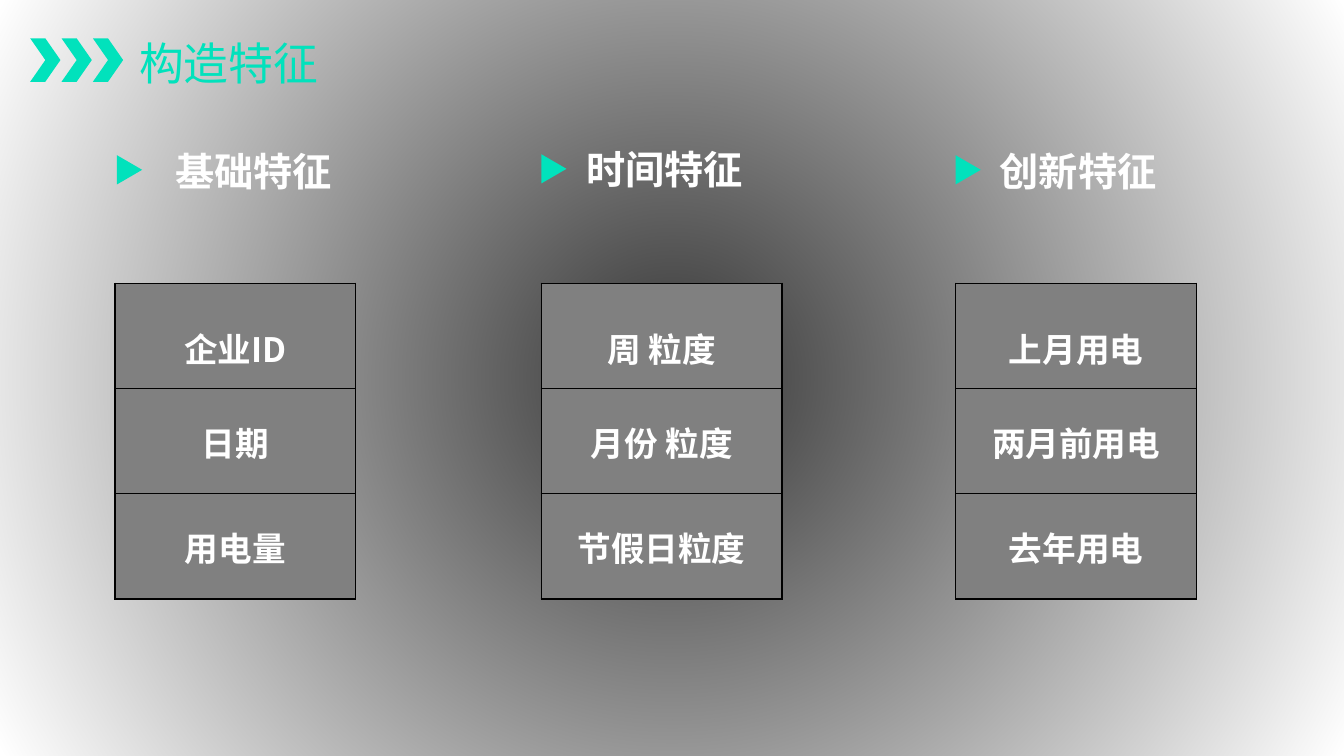
from dataclasses import dataclass

from lxml import etree
from pptx import Presentation
from pptx.dml.color import RGBColor
from pptx.enum import shapes, text
from pptx.oxml import parse_xml
from pptx.oxml.ns import nsdecls, qn
from pptx.util import Pt

COLORS = {"accent": "01E2BC", "cell": "808080", "white": "FFFFFF", "black": "000000"}
SANS = "Noto Sans CJK SC"
SLIDE_WIDTH, SLIDE_HEIGHT = 960, 540
TABLE_TOP, TABLE_WIDTH, ROW_HEIGHT = 202.3, 172, 75.2
MARKER_WIDTH, MARKER_HEIGHT = 20.9, 18
BORDER_SIDES = ("lnL", "lnR", "lnT", "lnB")


@dataclass(frozen=True)
class FeatureColumn:
    heading: str
    heading_left: float
    heading_top: float
    heading_font: str
    marker_left: float
    marker_top: float
    table_left: float
    features: tuple[str, ...]


COLUMNS = (
    FeatureColumn("基础特征", 69.8, 101.5, "Quicksand", 82.1, 112.3, 82.1,
                  ("企业ID", "日期", "用电量")),
    FeatureColumn("时间特征", 363.6, 100, "Quicksand", 385.2, 111.6, 386.6,
                  ("周 粒度", "月份 粒度", "节假日粒度")),
    FeatureColumn("创新特征", 658.8, 101.5, SANS, 681.1, 112.3, 682.6,
                  ("上月用电", "两月前用电", "去年用电")),
)


def write_text(frame, content: str, *, size: float, font: str = SANS,
               color: str = "white", bold: bool = False,
               align=text.PP_ALIGN.CENTER, line_spacing: float = 1.0) -> None:
    para = frame.paragraphs[0]
    para.alignment = align
    para.line_spacing = line_spacing
    span = para.add_run()
    span.text = content
    span.font.size = Pt(size)
    span.font.bold = bold
    span.font.color.rgb = RGBColor.from_string(COLORS[color])
    span.font.name = font
    latin = span.font._element.find(qn("a:latin"))
    east_asian = etree.Element(qn("a:ea"), typeface=font)
    latin.addnext(east_asian)


def add_plain_shape(page, kind, left: float, top: float, width: float, height: float):
    shape = page.shapes.add_shape(kind, Pt(left), Pt(top), Pt(width), Pt(height))
    shape.shadow.inherit = False
    shape.line.fill.background()
    return shape


def add_accent_shape(page, kind, left: float, top: float, width: float, height: float):
    shape = add_plain_shape(page, kind, left, top, width, height)
    shape.fill.solid()
    shape.fill.fore_color.rgb = RGBColor.from_string(COLORS["accent"])
    return shape


def add_backdrop(page) -> None:
    backdrop = add_plain_shape(page, shapes.MSO_SHAPE.RECTANGLE, 0, 0,
                               SLIDE_WIDTH, SLIDE_HEIGHT)
    stops = "".join(
        f'<a:gs pos="{position}"><a:srgbClr val="{COLORS["black"]}">'
        f'<a:alpha val="{alpha}"/></a:srgbClr></a:gs>'
        for position, alpha in ((0, 80000), (100000, 0))
    )
    gradient = parse_xml(
        f'<a:gradFill {nsdecls("a")} rotWithShape="1"><a:gsLst>{stops}</a:gsLst>'
        '<a:path path="circle"><a:fillToRect l="50000" t="50000" r="50000" b="50000"/>'
        '</a:path></a:gradFill>'
    )
    backdrop._element.spPr.find(qn("a:prstGeom")).addnext(gradient)
    page.shapes._spTree.insert(2, backdrop._element)


def format_title(title) -> None:
    title.left, title.top, title.width, title.height = Pt(92.2), Pt(21.6), Pt(337.7), Pt(46)
    frame = title.text_frame
    frame.word_wrap = True
    frame.auto_size = text.MSO_AUTO_SIZE.NONE
    frame.vertical_anchor = text.MSO_ANCHOR.TOP
    write_text(frame, "构造特征", size=32, font="Noto Sans CJK JP", color="accent",
               align=text.PP_ALIGN.LEFT)


def format_cell(cell, content: str, is_first: bool) -> None:
    cell.fill.solid()
    cell.fill.fore_color.rgb = RGBColor.from_string(COLORS["cell"])
    cell.vertical_anchor = text.MSO_ANCHOR.MIDDLE
    cell.margin_left = cell.margin_right = Pt(5 if is_first else 0.7)
    cell.margin_top = Pt(0 if is_first else 0.7)
    cell.margin_bottom = Pt(0)
    write_text(cell.text_frame, content, size=24, bold=True,
               line_spacing=1.5 if is_first else 1.0)
    properties = cell._tc.get_or_add_tcPr()
    for index, side in enumerate(BORDER_SIDES):
        properties.insert(index, parse_xml(
            f'<a:{side} {nsdecls("a")} w="{Pt(1)}"><a:solidFill>'
            f'<a:srgbClr val="{COLORS["black"]}"/></a:solidFill></a:{side}>'
        ))


def add_column(page, column: FeatureColumn) -> None:
    box = page.shapes.add_textbox(Pt(column.heading_left), Pt(column.heading_top),
                                  Pt(222.5), Pt(41))
    box.text_frame.word_wrap = True
    write_text(box.text_frame, column.heading, size=28, font=column.heading_font, bold=True)

    marker = add_accent_shape(page, shapes.MSO_SHAPE.ISOSCELES_TRIANGLE, column.marker_left,
                              column.marker_top, MARKER_WIDTH, MARKER_HEIGHT)
    marker.rotation = 90

    count = len(column.features)
    table = page.shapes.add_table(count, 1, Pt(column.table_left), Pt(TABLE_TOP),
                                  Pt(TABLE_WIDTH), Pt(ROW_HEIGHT * count)).table
    table.first_row = False
    table.horz_banding = False
    for index, feature in enumerate(column.features):
        table.rows[index].height = Pt(ROW_HEIGHT)
        format_cell(table.cell(index, 0), feature, index == 0)


def main() -> None:
    deck = Presentation()
    deck.slide_width, deck.slide_height = Pt(SLIDE_WIDTH), Pt(SLIDE_HEIGHT)
    page = deck.slides.add_slide(deck.slide_layouts.get_by_name("Title Only"))
    add_backdrop(page)
    format_title(page.shapes.title)
    for index in range(3):
        add_accent_shape(page, shapes.MSO_SHAPE.CHEVRON, 21.6 + 22.4 * index, 27.4, 21.6, 31)
    for column in COLUMNS:
        add_column(page, column)
    deck.save("out.pptx")


if __name__ == "__main__":
    main()
